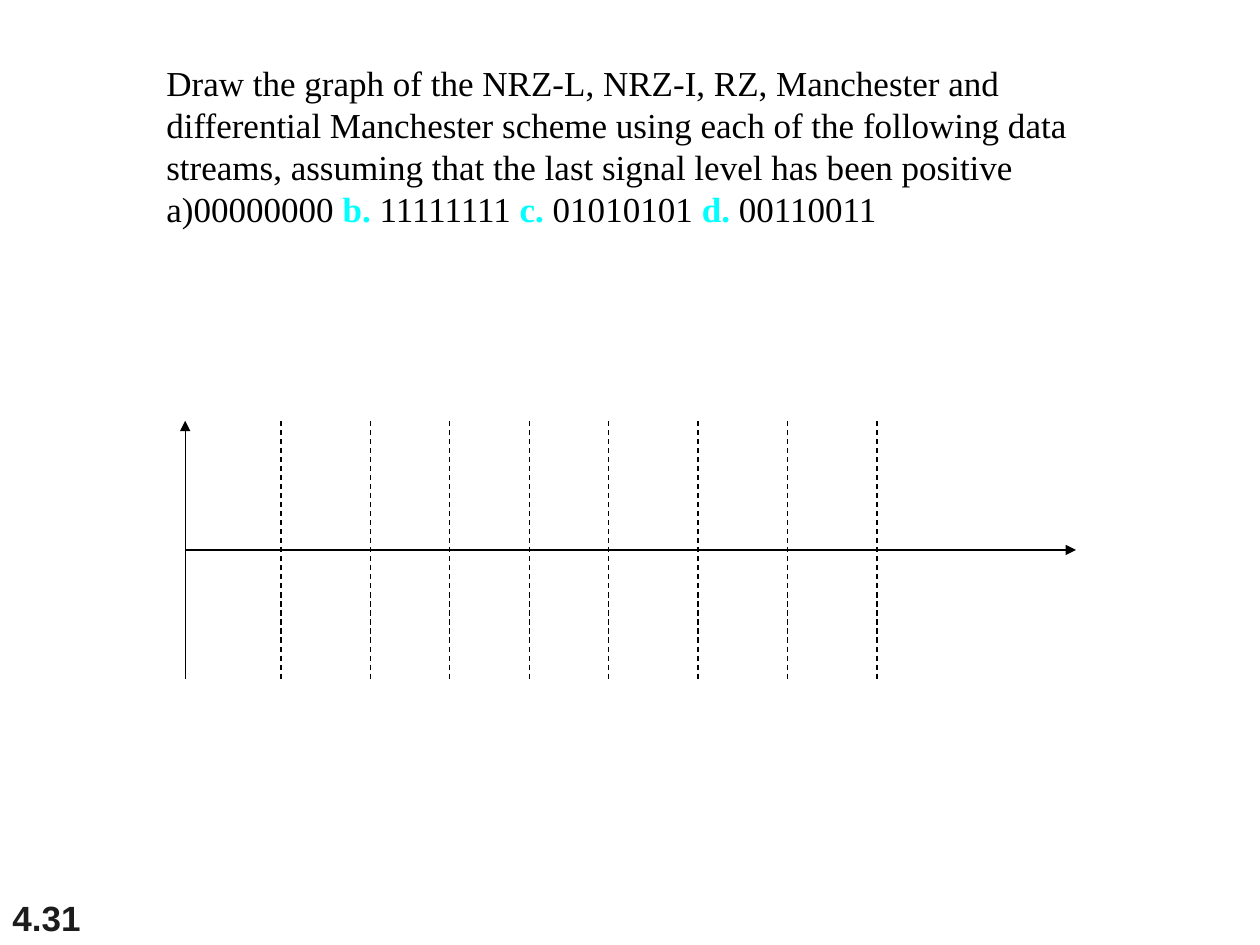
from itertools import accumulate

from lxml import etree
from pptx import Presentation
from pptx.dml.color import RGBColor
from pptx.enum.dml import MSO_LINE
from pptx.enum.shapes import MSO_CONNECTOR
from pptx.enum.text import MSO_ANCHOR, MSO_AUTO_SIZE, PP_ALIGN
from pptx.oxml.ns import qn
from pptx.util import Inches, Pt

STRAIGHT = MSO_CONNECTOR.STRAIGHT
DASH = MSO_LINE.DASH
TOP, BOTTOM = MSO_ANCHOR.TOP, MSO_ANCHOR.BOTTOM
LEFT = PP_ALIGN.LEFT
NO_AUTOFIT = MSO_AUTO_SIZE.NONE

BLACK = RGBColor(0x00, 0x00, 0x00)
CYAN = RGBColor(0x00, 0xFF, 0xFF)
CHARCOAL = RGBColor(0x1C, 0x1C, 0x1C)

QUESTION = (
    "Draw the graph of the NRZ-L, NRZ-I, RZ, Manchester and differential "
    "Manchester scheme using each of the following data streams, "
    "assuming that the last signal level has been positive"
)
STREAMS = [
    ("a)", "00000000 "),
    ("b. ", "11111111 "),
    ("c. ", "01010101 "),
    ("d. ", "00110011"),
]
PAGE_NUMBER = "4.31"

AXIS_LEFT, AXIS_RIGHT = 1.47, 8.54
GRAPH_TOP, GRAPH_BOTTOM = 3.34, 5.39
AXIS_MIDDLE = (GRAPH_TOP + GRAPH_BOTTOM) / 2
FIRST_BIT_END = 2.23
BIT_WIDTHS = [0.71] + [0.63] * 3 + [0.71] * 3


def place(box, left, top, width, height):
    box.left, box.top = Inches(left), Inches(top)
    box.width, box.height = Inches(width), Inches(height)


def set_frame(box, anchor):
    frame = box.text_frame
    frame.word_wrap = True
    frame.auto_size = NO_AUTOFIT
    frame.vertical_anchor = anchor
    return frame


def style(paragraph, font_name, color, bold):
    paragraph.alignment = LEFT
    font = paragraph.font
    font.name, font.size, font.bold = font_name, Pt(20), bold
    font.color.rgb = color


def add_line(group, start, end, dashed=False):
    line = group.shapes.add_connector(STRAIGHT, *map(Inches, start + end))
    line.line.color.rgb = BLACK
    line.line.width = Pt(0.75)
    if dashed:
        line.line.dash_style = DASH
    else:
        outline = line.line._get_or_add_ln()
        etree.SubElement(outline, qn("a:tailEnd"), type="triangle")
    etree.SubElement(line._element.spPr, qn("a:effectLst"))


def add_question(page):
    box = page.shapes.title
    place(box, 1.22, 0.44, 7.56, 2.1)
    frame = set_frame(box, TOP)
    frame.text = QUESTION
    streams = frame.add_paragraph()
    for index, (label, bits) in enumerate(STREAMS):
        if index == 0:
            streams.add_run().text = label + bits
            continue
        span = streams.add_run()
        span.text = label
        span.font.bold = True
        span.font.color.rgb = CYAN
        streams.add_run().text = bits
    for para in frame.paragraphs:
        style(para, "Times New Roman", BLACK, False)
        para.line_spacing = Pt(24)
        para.space_before = Pt(0)


def add_graph(page):
    group = page.shapes.add_group_shape()
    add_line(group, (AXIS_LEFT, GRAPH_BOTTOM), (AXIS_LEFT, GRAPH_TOP))
    add_line(group, (AXIS_LEFT, AXIS_MIDDLE), (AXIS_RIGHT, AXIS_MIDDLE))
    for x in accumulate(BIT_WIDTHS, initial=FIRST_BIT_END):
        add_line(group, (x, GRAPH_TOP), (x, GRAPH_BOTTOM), dashed=True)


def add_page_number(page):
    box = page.shapes.add_textbox(0, Inches(7), Inches(2.08), Inches(0.5))
    frame = set_frame(box, BOTTOM)
    frame.text = PAGE_NUMBER
    style(frame.paragraphs[0], "Arial", CHARCOAL, True)


def main():
    deck = Presentation()
    deck.slide_width, deck.slide_height = Inches(10), Inches(7.5)
    page = deck.slides.add_slide(deck.slide_layouts[5])
    add_page_number(page)
    add_graph(page)
    add_question(page)
    deck.save("out.pptx")


if __name__ == "__main__":
    main()
